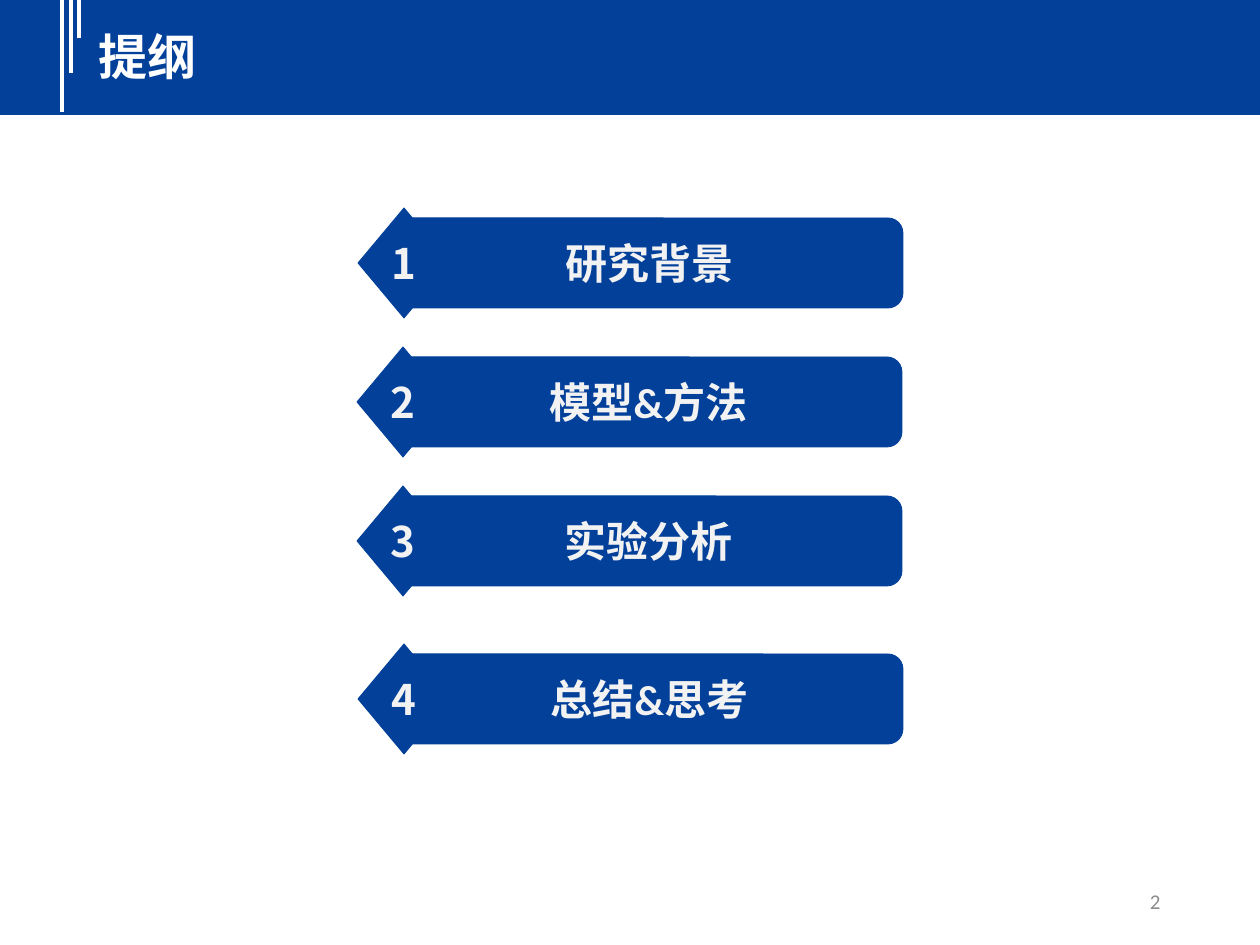
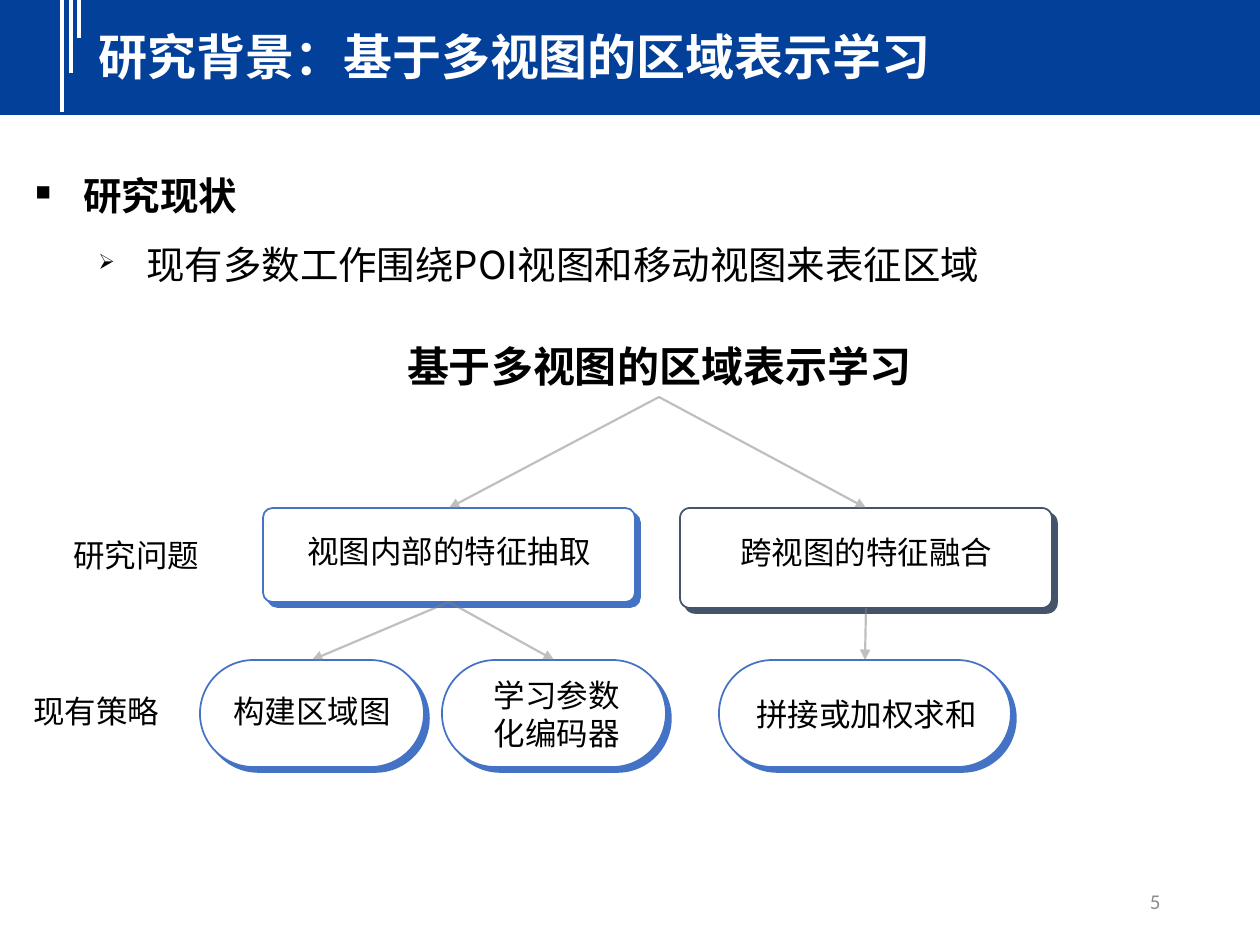
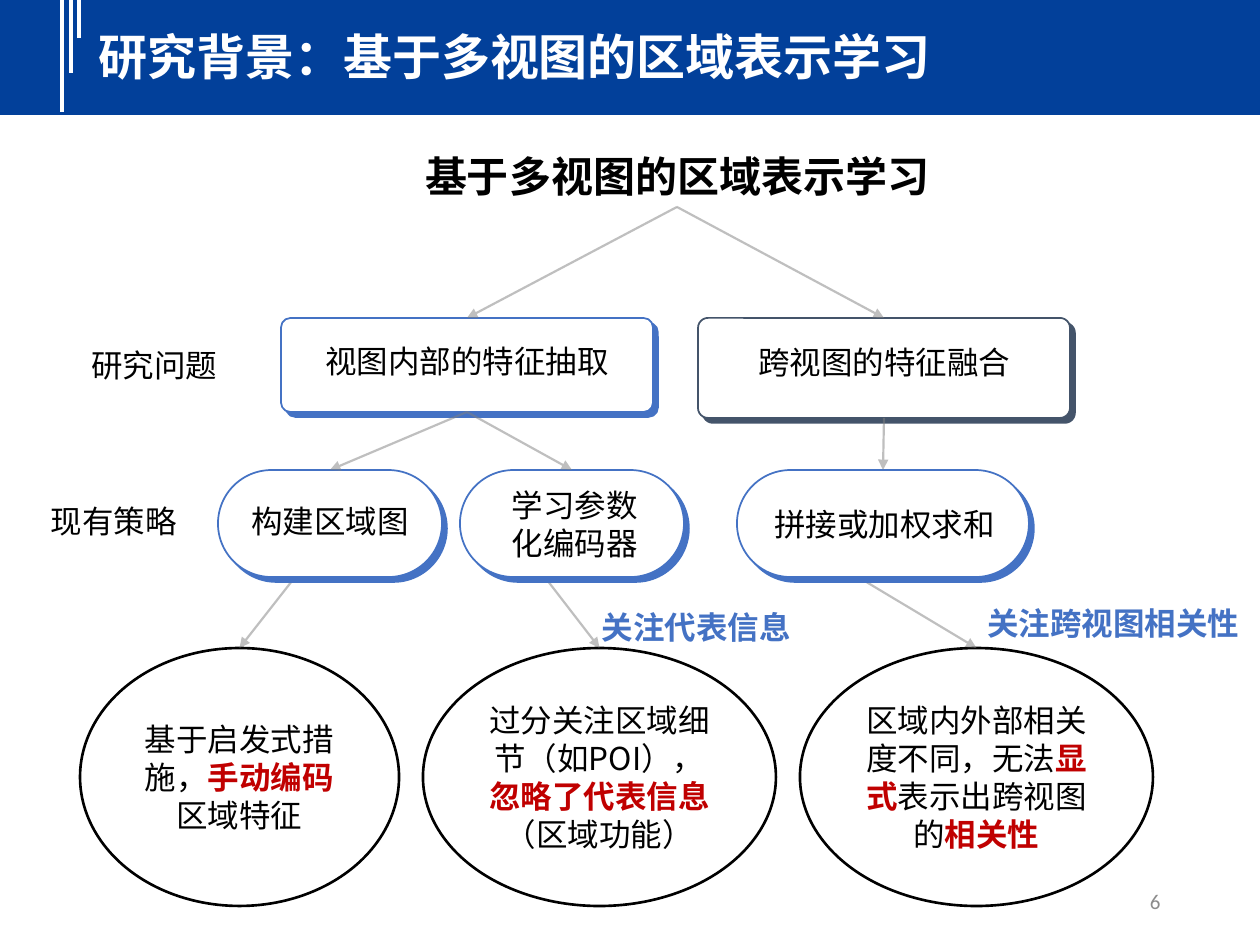
from lxml import etree
from pptx import Presentation, util as u
from pptx.dml.color import RGBColor
from pptx.enum import shapes, text
from pptx.oxml import ns

SCALE = 914400 / 126
SANS, LATIN = "Noto Sans CJK SC", "Calibri"
NAVY, BLUE, SLATE = "02409A", "4472C4", "44546A"
WHITE, PALE, BLACK, RED = "FFFFFF", "F2F2F2", "000000", "C00000"
GREY, NUMBER_GREY = "808080", "8C8C8C"
SHAPE, ALIGN, ANCHOR = shapes.MSO_SHAPE, text.PP_ALIGN, text.MSO_ANCHOR
TOPIC = "基于多视图的区域表示学习"


def px(length):
    """Turn pixels into EMU."""
    return u.Emu(round(length * SCALE))


def color(value):
    """Turn a hex string into a colour."""
    return RGBColor.from_string(value)


def add_element(parent, tag, **attributes):
    """Append a DrawingML element to its parent."""
    return etree.SubElement(parent, ns.qn(tag), attributes)


def add_runs(paragraph, runs, size, font=SANS):
    """Add runs given as (wording, colour, bold)."""
    for wording, hue, bold in runs:
        run = paragraph.add_run()
        run.text = wording
        run.font.size, run.font.bold, run.font.name = u.Pt(size), bold, font
        run.font.color.rgb = color(hue)
        add_element(run.font._element, "a:ea", typeface=SANS)


def write(shape, runs, size, font=SANS, align=ALIGN.CENTER, wrap=True, spacing=None):
    """Write one vertically centred paragraph in a shape."""
    frame = shape.text_frame
    frame.word_wrap, frame.vertical_anchor = wrap, ANCHOR.MIDDLE
    paragraph = frame.paragraphs[0]
    paragraph.alignment, paragraph.line_spacing = align, spacing
    add_runs(paragraph, runs, size, font)


def add_label(slide, box, wording, size=18, hue=BLACK, bold=False, **style):
    """Add a text box with one run."""
    label = slide.shapes.add_textbox(*map(px, box))
    write(label, [(wording, hue, bold)], size, **style)
    return label


def add_block(slide, kind, box, fill, line=None, width=1, corner=None):
    """Add a filled preset shape without shadow."""
    block = slide.shapes.add_shape(kind, *map(px, box))
    block.shadow.inherit = False
    block.fill.solid()
    block.fill.fore_color.rgb = color(fill)
    if line:
        block.line.color.rgb = color(line)
        block.line.width = u.Pt(width)
    else:
        block.line.fill.background()
    if corner is not None:
        block.adjustments[0] = corner
    return block


def add_line(slide, start, end, hue, width):
    """Add a straight line."""
    line = slide.shapes.add_connector(
        shapes.MSO_CONNECTOR.STRAIGHT, *map(px, start + end))
    line.line.color.rgb = color(hue)
    line.line.width = u.Pt(width)
    add_element(line._element.spPr, "a:effectLst")
    return line


def add_arrow(slide, target, source=None, start=(0, 0)):
    """Add a translucent arrow to the top of a target shape."""
    arrow = add_line(slide, start, start, GREY, 1.25)
    if source is not None:
        arrow.begin_connect(source, 2)
    arrow.end_connect(target, 0)
    outline = arrow.line._get_or_add_ln()
    add_element(outline.find(".//" + ns.qn("a:srgbClr")), "a:alpha", val="50000")
    add_element(outline, "a:tailEnd", type="triangle")


def add_card(slide, box, hue, corner):
    """Add a white rounded card with a solid offset shadow."""
    card = add_block(slide, SHAPE.ROUNDED_RECTANGLE, box, WHITE, hue, 1, corner)
    effects = card._element.spPr.find(ns.qn("a:effectLst"))
    shadow = add_element(effects, "a:outerShdw", blurRad="0", dist="50800",
                         dir="2700000", algn="tl", rotWithShape="0")
    add_element(shadow, "a:srgbClr", val=hue)
    return card


def add_slide(presentation, heading, number):
    """Add a slide with the title band and slide number."""
    slide = presentation.slides.add_slide(presentation.slide_layouts[5])
    add_block(slide, SHAPE.RECTANGLE, (0, -4, 1260, 119), NAVY)
    for left, bottom in ((62, 112), (71, 73), (79, 38)):
        add_line(slide, (left, -4), (left, bottom), WHITE, 2.25)
    title = slide.shapes.title
    title.left, title.top, title.width, title.height = map(px, (86, 20, 1174, 72))
    write(title, [(heading, WHITE, True)], 28, align=ALIGN.LEFT)
    title.element.getparent().append(title.element)
    add_label(slide, (890, 876, 283, 50), str(number), 12, NUMBER_GREY,
              font=LATIN, align=ALIGN.RIGHT)
    return slide


def add_outline_row(slide, left, top, number, wording):
    """Add a numbered diamond with its bar."""
    bar = add_block(slide, SHAPE.ROUNDED_RECTANGLE, (left + 38, top + 10, 507, 90),
                    NAVY, NAVY, 0.5, 0.167)
    write(bar, [(wording, PALE, True)], 24, LATIN, wrap=False)
    diamond = add_block(slide, SHAPE.DIAMOND, (left, top, 92, 110), NAVY, NAVY, 0.5)
    write(diamond, [(str(number), PALE, True)], 24, wrap=False)


def add_bullets(slide, box, items):
    """Add bullets given as (level, indent, sign, wording, bold)."""
    frame = slide.shapes.add_textbox(*map(px, box)).text_frame
    frame.word_wrap = True
    for index, (level, indent, sign, wording, bold) in enumerate(items):
        paragraph = frame.add_paragraph() if index else frame.paragraphs[0]
        paragraph.level = level
        properties = paragraph._element.get_or_add_pPr()
        properties.set("marL", str(px(indent)))
        properties.set("indent", str(px(-48)))
        add_element(properties, "a:buSzPct", val="55000")
        add_element(properties, "a:buChar", char=sign)
        paragraph.line_spacing = u.Pt(39.5)
        add_runs(paragraph, [(wording, BLACK, bold)], 22)


def add_tree(slide, left, top):
    """Add the tree of research questions and existing strategies."""
    def place(x, y, width, height):
        """Shift a box to the tree's corner."""
        return left + x, top + y, width, height

    root = add_label(slide, place(373, 0, 572, 63), TOPIC, 24, bold=True)
    questions = [add_card(slide, place(x, 174, 372, height), hue, 0.1)
                 for x, height, hue in ((263, 94, BLUE), (680, 100, SLATE))]
    strategies = [add_card(slide, place(x, 326, width, 107), BLUE, 0.5)
                  for x, width in ((200, 224), (442, 224), (719, 292))]
    for question in questions:
        add_arrow(slide, question, root)
    for strategy, parent in zip(strategies, (0, 0, 1)):
        add_arrow(slide, strategy, questions[parent])
    for wording, box in (
            ("研究问题", (6, 196, 260, 50)),
            ("视图内部的特征抽取", (263, 192, 372, 50)),
            ("跨视图的特征融合", (680, 193, 372, 50)),
            ("现有策略", (-34, 352, 260, 50)),
            ("构建区域图", (126, 352, 372, 50)),
            ("学习参数化编码器", (471, 335, 171, 89)),
            ("拼接或加权求和", (730, 355, 273, 50))):
        add_label(slide, place(*box), wording, spacing=u.Pt(22))


def add_limit(slide, left, width, start, runs):
    """Add an ellipse naming a limit and the arrow that leads to it."""
    ellipse = add_block(slide, SHAPE.OVAL, (left, 648, width, 258), WHITE, BLACK, 1.5)
    write(ellipse, [(wording, RED if key else BLACK, key) for wording, key in runs],
          18, spacing=u.Pt(21.6))
    add_arrow(slide, ellipse, start=start)


def build_outline(presentation):
    """Build the outline slide."""
    slide = add_slide(presentation, "提纲", 2)
    rows = ((358, 208, "研究背景"), (357, 347, "模型&方法"),
            (357, 486, "实验分析"), (358, 644, "总结&思考"))
    for number, (left, top, wording) in enumerate(rows, 1):
        add_outline_row(slide, left, top, number, wording)


def build_status(presentation):
    """Build the slide on the state of research."""
    slide = add_slide(presentation, "研究背景：" + TOPIC, 5)
    add_bullets(slide, (23, 143, 1237, 145), (
        (0, 48, "■", "研究现状", True),
        (1, 111, "➢", "现有多数工作围绕POI视图和移动视图来表征区域", False)))
    add_tree(slide, 0, 334)


def build_limits(presentation):
    """Build the slide on the limits of existing strategies."""
    slide = add_slide(presentation, "研究背景：" + TOPIC, 6)
    add_limit(slide, 80, 319, (314, 553), (
        ("基于启发式措施，", False), ("手动编码", True), ("区域特征", False)))
    add_limit(slide, 423, 353, (527, 554), (
        ("过分关注区域细节（如POI），", False), ("忽略了代表信息", True),
        ("（区域功能）", False)))
    add_limit(slide, 800, 353, (818, 553), (
        ("区域内外部相关度不同，无法", False), ("显式", True),
        ("表示出跨视图的", False), ("相关性", True)))
    add_tree(slide, 18, 144)
    for left, top, wording in ((510, 602, "关注代表信息"), (927, 598, "关注跨视图相关性")):
        add_label(slide, (left, top, 372, 50), wording, hue=BLUE, bold=True)


def main():
    """Build and save the presentation."""
    presentation = Presentation()
    presentation.slide_width, presentation.slide_height = px(1260), px(945)
    for build in (build_outline, build_status, build_limits):
        build(presentation)
    presentation.save("out.pptx")


if __name__ == "__main__":
    main()
